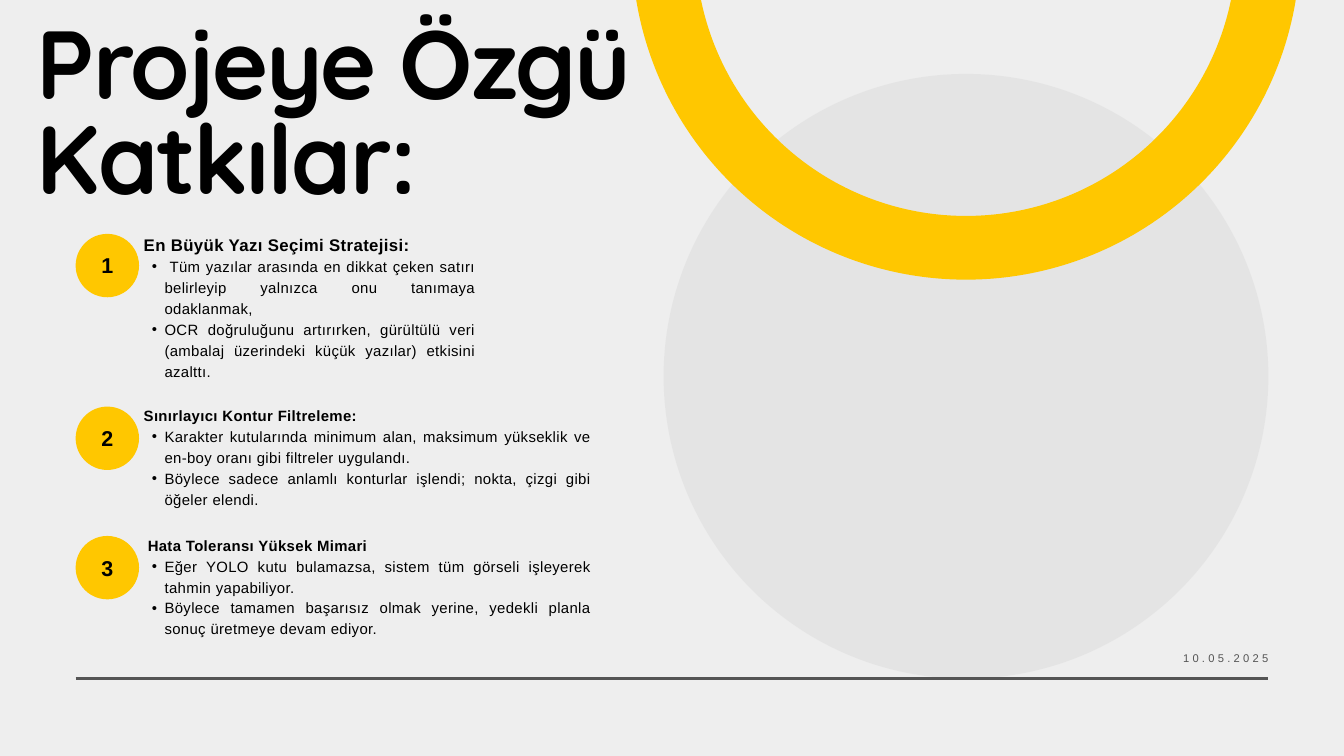
from lxml.etree import SubElement
from pptx import Presentation
from pptx.dml.color import RGBColor
from pptx.enum.shapes import MSO_CONNECTOR, MSO_SHAPE
from pptx.enum.text import MSO_ANCHOR, PP_ALIGN
from pptx.oxml.ns import qn
from pptx.util import Inches, Pt

# The page is a grid of 160 columns by 90 rows, each an eighth of an inch
CELL = 0.125
YELLOW, GREY, BLACK = "FFC700", "545454", "000000"
BADGE = 7.55

# Top row, text columns, text rows, heading size, heading indent, heading, bullets
ITEMS = [
    (27.84, 40.1, 17.2, 18, 0.07, "En Büyük Yazı Seçimi Stratejisi:", [
        " Tüm yazılar arasında en dikkat çeken satırı belirleyip yalnızca onu "
        "tanımaya odaklanmak,",
        "OCR doğruluğunu artırırken, gürültülü veri (ambalaj üzerindeki küçük "
        "yazılar) etkisini azalttı.",
    ]),
    (48.4, 53.9, 12, 16, 0.07, "Sınırlayıcı Kontur Filtreleme:", [
        "Karakter kutularında minimum alan, maksimum yükseklik ve en-boy oranı "
        "gibi filtreler uygulandı.",
        "Böylece sadece anlamlı konturlar işlendi; nokta, çizgi gibi öğeler elendi.",
    ]),
    (63.8, 53.9, 14.4, 16, 0.13, "Hata Toleransı Yüksek Mimari", [
        "Eğer YOLO kutu bulamazsa, sistem tüm görseli işleyerek tahmin yapabiliyor.",
        "Böylece tamamen başarısız olmak yerine, yedekli planla sonuç üretmeye "
        "devam ediyor.",
    ]),
]


def color(value):
    return RGBColor.from_string(value)


def cells(*counts):
    return [Inches(count * CELL) for count in counts]


def add_circle(page, left, top, size, fill=None):
    circle = page.shapes.add_shape(MSO_SHAPE.OVAL, *cells(left, top, size, size))
    circle.shadow.inherit = False
    circle.line.fill.background()
    if fill:
        circle.fill.solid()
        circle.fill.fore_color.rgb = color(fill)
    else:
        circle.fill.background()
    return circle


def add_box(page, left, top, width, height):
    frame = page.shapes.add_textbox(*cells(left, top, width, height)).text_frame
    frame.word_wrap = True
    frame.margin_left = frame.margin_right = frame.margin_top = frame.margin_bottom = 0
    return frame


def write(para, text, size, leading, align, bold=False, spacing=0, font="Arial", ink=BLACK):
    para.alignment = align
    para.line_spacing = Pt(leading)
    span = para.add_run()
    span.text = text
    span.font.size = Pt(size)
    span.font.name = font
    span.font.bold = bold
    span.font.color.rgb = color(ink)
    span._r.get_or_add_rPr().set("spc", str(round(spacing * 100)))


def indent(para, left, first=0):
    properties = para._p.get_or_add_pPr()
    properties.set("marL", str(Inches(left)))
    properties.set("indent", str(Inches(first)))
    return properties


def draw_backdrop(page, left, width):
    # Translucent disc
    disc = add_circle(page, left, 8.8, width, "D9D9D9")
    tint = disc.fill._xPr.find(qn("a:solidFill"))[0]
    SubElement(tint, qn("a:alpha"), val="43000")

    # Footer rule
    rule = page.shapes.add_connector(MSO_CONNECTOR.STRAIGHT, *cells(9, 80.8, 151, 80.8))
    rule.line.color.rgb = color(GREY)
    rule.line.width = Pt(3)
    SubElement(rule._element.spPr, qn("a:effectLst"))

    # Ring that runs over the top edge
    ring = add_circle(page, left, -42.5, width)
    ring.line.color.rgb = color(YELLOW)
    ring.line.width = Pt(68.25)


def draw_title(page, *box):
    frame = add_box(page, *box)
    write(frame.paragraphs[0], "Projeye Özgü Katkılar:", 103.5, 101.5,
          PP_ALIGN.LEFT, True, -2.1, "Quicksand")


def draw_item(page, number, left, top, width, height, size, inset, heading, bullets):
    # Numbered badge
    frame = add_circle(page, left, top, BADGE, YELLOW).text_frame
    frame.vertical_anchor = MSO_ANCHOR.MIDDLE
    frame.margin_left = frame.margin_right = frame.margin_top = Inches(0.06)
    frame.margin_bottom = Inches(0.13)
    write(frame.paragraphs[0], str(number), 23, 32.2, PP_ALIGN.CENTER, True)

    # Heading and its bullets
    frame = add_box(page, left + BADGE, top - 0.3, width, height)
    para = frame.paragraphs[0]
    indent(para, inset)
    write(para, heading, size, size * 1.4, PP_ALIGN.JUSTIFY, True, 0.4)
    for bullet in bullets:
        para = frame.add_paragraph()
        para.level = 1
        properties = indent(para, 0.38, -0.19)
        SubElement(properties, qn("a:buFont"), typeface="Arial")
        SubElement(properties, qn("a:buChar"), char="•")
        write(para, bullet, 16, 22.4, PP_ALIGN.JUSTIFY, spacing=0.4)


def draw_date(page, *box):
    frame = add_box(page, *box)
    write(frame.paragraphs[0], "10.05.2025", 12, 16.8, PP_ALIGN.RIGHT,
          spacing=3.5, ink=GREY)


def main():
    deck = Presentation()
    deck.slide_width, deck.slide_height = cells(160, 90)
    page = deck.slides.add_slide(deck.slide_layouts[6])
    page.background.fill.solid()
    page.background.fill.fore_color.rgb = color("EEEEEE")

    draw_backdrop(page, 79, 72)
    draw_title(page, 4.4, 2.9, 83.6, 25)
    for number, (top, width, height, *content) in enumerate(ITEMS, 1):
        draw_item(page, number, 9, top, width, height, *content)
    draw_date(page, 120.6, 77.3, 30.4, 1.84)
    deck.save("out.pptx")


if __name__ == "__main__":
    main()
